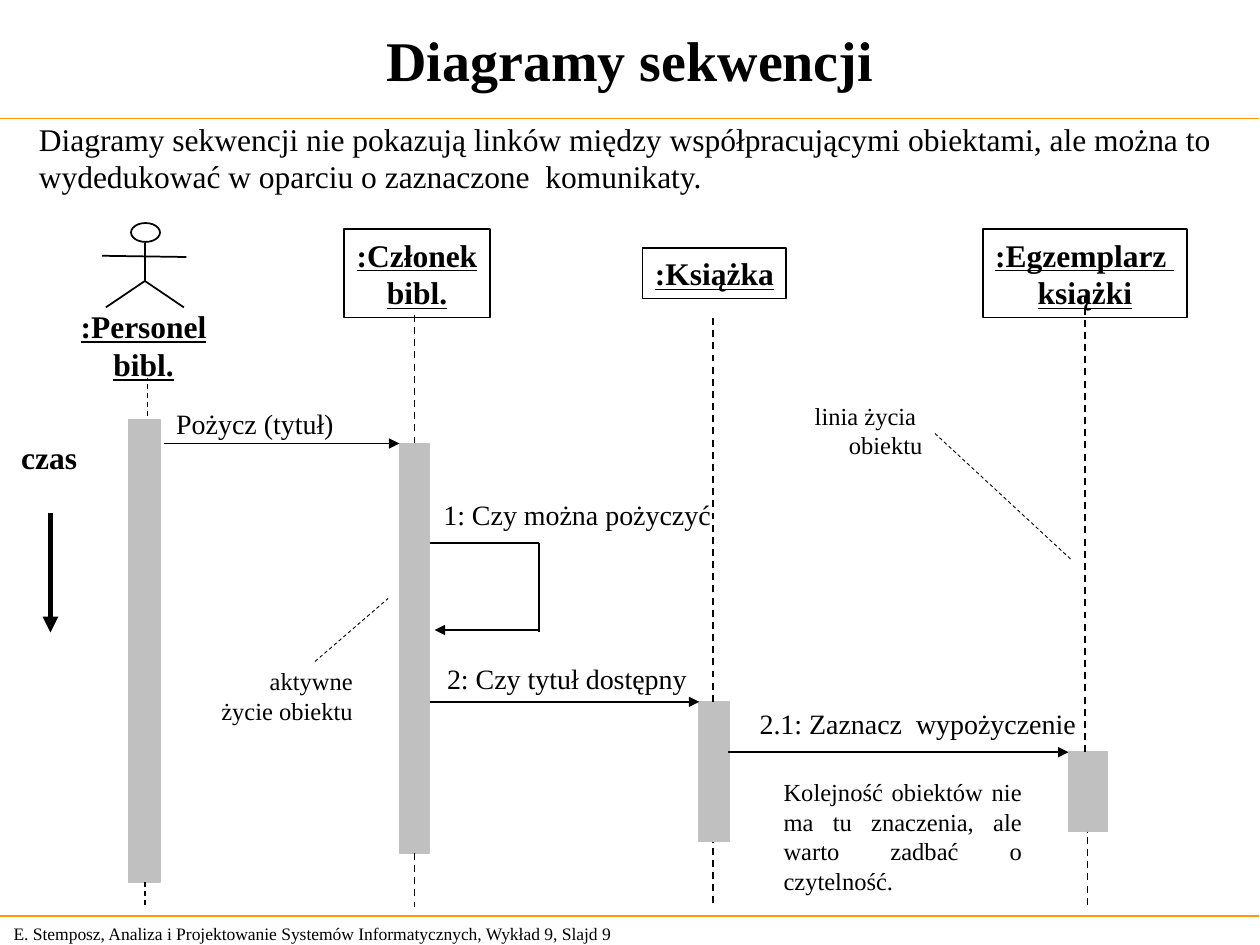
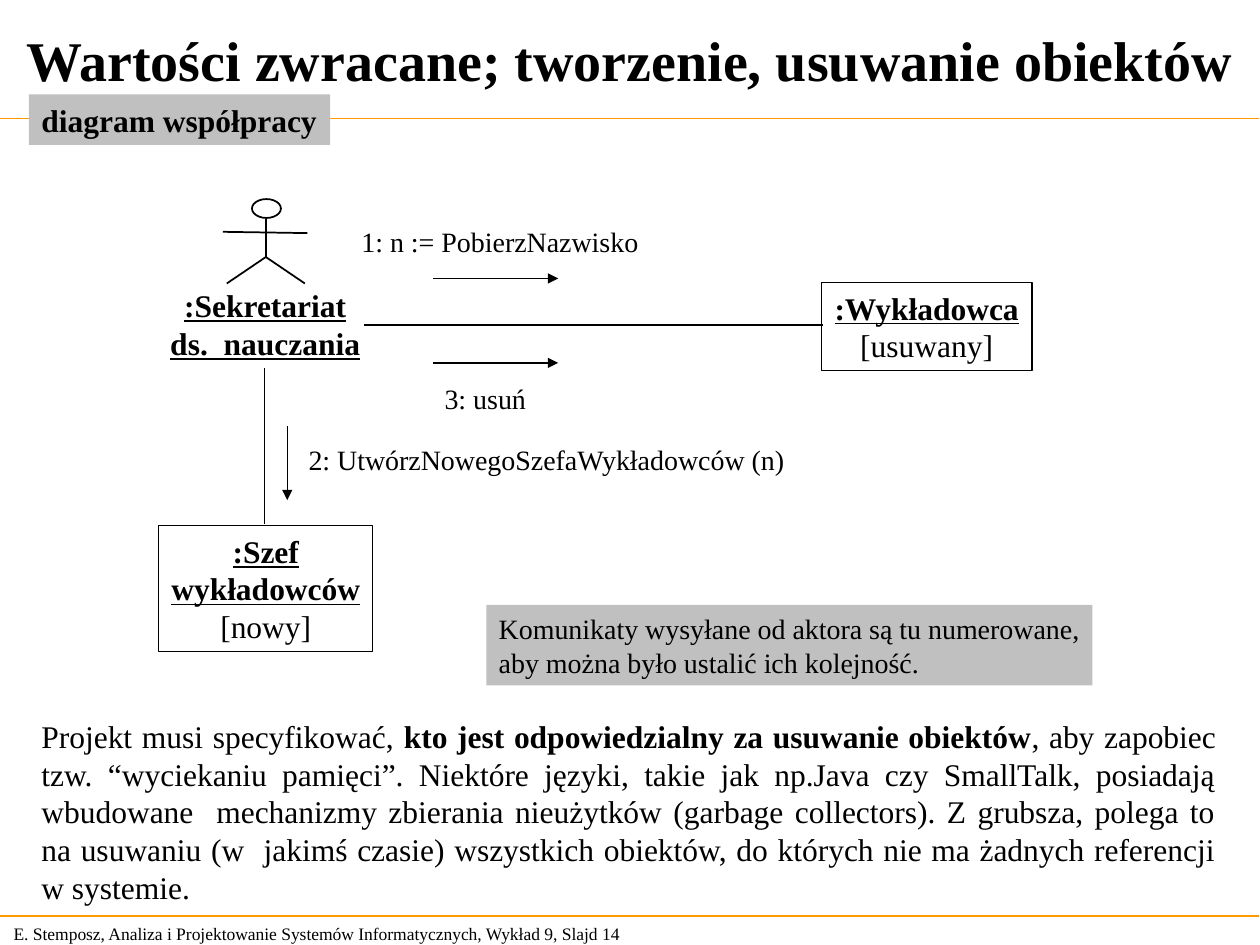
import pptx
import pptx.util
import pptx.dml.color
import pptx.enum.dml
import pptx.enum.shapes
import pptx.enum.text
import pptx.oxml.ns
from lxml import etree

Inches, Pt = pptx.util.Inches, pptx.util.Pt
ALIGN = pptx.enum.text.PP_ALIGN
DASH = pptx.enum.dml.MSO_LINE.DASH
SHAPE = pptx.enum.shapes.MSO_SHAPE
STRAIGHT = pptx.enum.shapes.MSO_CONNECTOR.STRAIGHT
AUTO_SIZE = pptx.enum.text.MSO_AUTO_SIZE
MIDDLE = pptx.enum.text.MSO_ANCHOR.MIDDLE

BLACK = pptx.dml.color.RGBColor(0x00, 0x00, 0x00)
GREY = pptx.dml.color.RGBColor(0xC0, 0xC0, 0xC0)
ORANGE = pptx.dml.color.RGBColor(0xFF, 0x99, 0x00)
FONT = "Times New Roman"
OBJECT_NAME = {"bold": True, "underline": True}
PLAIN = {"bold": False, "underline": False}
# Left and right insets: tight labels get slack on the side the text does not lean on
INSETS = {
    ALIGN.LEFT: (0.1, 0),
    ALIGN.CENTER: (0.04, 0.04),
    ALIGN.RIGHT: (0, 0.1),
    ALIGN.JUSTIFY: (0.1, 0.1),
}


def add_text(s, at, lines, size, align=ALIGN.LEFT, border=None, fill=None, fmt={}):
    """Text, one paragraph a line; a border width or a fill makes it a rectangle."""
    box = [Inches(v) for v in at]
    if border or fill:
        sp = s.shapes.add_shape(SHAPE.RECTANGLE, *box)
        sp.shadow.inherit = False
        if fill:
            sp.fill.solid()
            sp.fill.fore_color.rgb = fill
        else:
            sp.fill.background()
        if border:
            sp.line.color.rgb = BLACK
            sp.line.width = Pt(border)
        else:
            sp.line.fill.background()
        sp.text_frame.vertical_anchor = MIDDLE
    else:
        sp = s.shapes.add_textbox(*box)
    tf = sp.text_frame
    tf.word_wrap = True
    tf.auto_size = AUTO_SIZE.NONE
    tf.margin_left, tf.margin_right = [Inches(v) for v in INSETS[align]]
    for i, line in enumerate(lines):
        p = tf.paragraphs[0] if i == 0 else tf.add_paragraph()
        p.alignment = align
        r = p.add_run()
        r.text = line
        r.font.color.rgb = BLACK
        for name, value in {"name": FONT, "size": Pt(size), **fmt}.items():
            setattr(r.font, name, value)
    return tf


def add_line(shapes, ends, width=1, color=BLACK, dash=None, arrow=False):
    c = shapes.add_connector(STRAIGHT, *[Inches(v) for v in ends])
    c.line.color.rgb = color
    c.line.width = Pt(width)
    if dash:
        c.line.dash_style = dash
    if arrow:
        etree.SubElement(c.line._get_or_add_ln(), pptx.oxml.ns.qn("a:tailEnd"), type="triangle")
    etree.SubElement(c._element.spPr, pptx.oxml.ns.qn("a:effectLst"))
    return c


prs = pptx.Presentation()
prs.slide_width, prs.slide_height = Inches(10), Inches(7.5)

# Shared frame: title, rules, footer, and the actor at (centre, top)
frames = [
    ("Diagramy sekwencji", 9, 1.15, 1.77),
    ("Wartości zwracane; tworzenie, usuwanie obiektów", 14, 2.11, 1.58),
]
slides = []
for title, number, x, y in frames:
    s = prs.slides.add_slide(prs.slide_layouts[5])
    slides.append(s)
    for rule_y in (0.94, 7.27):
        add_line(s.shapes, (-0.01, rule_y, 9.99, rule_y), 0.75, ORANGE)
    footer = f"E. Stemposz, Analiza i Projektowanie Systemów Informatycznych, Wykład 9, Slajd {number}"
    add_text(s, (0.01, 7.28, 5.24, 0.27), [footer], 10)

    sp = s.shapes.title
    place = {"left": 0.04, "top": 0.04, "width": 9.92, "height": 0.85}
    for name, value in place.items():
        setattr(sp, name, Inches(value))
    tf = sp.text_frame
    tf.text = title
    tf.vertical_anchor = MIDDLE
    tf.auto_size = AUTO_SIZE.NONE
    p = tf.paragraphs[0]
    p.alignment = ALIGN.CENTER
    p.font.color.rgb = BLACK
    for name, value in {"name": FONT, "size": Pt(32), "bold": True}.items():
        setattr(p.font, name, value)

    actor = s.shapes.add_group_shape().shapes
    head = actor.add_shape(SHAPE.OVAL, *[Inches(v) for v in (x - 0.11, y, 0.23, 0.15)])
    head.shadow.inherit = False
    head.fill.background()
    head.line.color.rgb = BLACK
    head.line.width = Pt(1)
    for ends in [
        (x, y + 0.16, x, y + 0.47),
        (x - 0.34, y + 0.26, x + 0.33, y + 0.27),
        (x, y + 0.46, x + 0.31, y + 0.67),
        (x, y + 0.46, x - 0.31, y + 0.67),
    ]:
        add_line(actor, ends)

# Slide 1: sequence diagram
s = slides[0]
add_text(s, (0.21, 0.9, 9.51, 0.7), [
    "Diagramy sekwencji nie pokazują linków między współpracującymi obiektami, ale można to",
    "wydedukować w oparciu o zaznaczone  komunikaty.",
], 18)

# Object names
add_text(s, (0.54, 2.39, 1.2, 0.7), [":Personel", "bibl."], 18, ALIGN.CENTER, fmt=OBJECT_NAME)
for at, lines in [
    ((2.73, 1.82, 1.16, 0.7), [":Członek", "bibl."]),
    ((5.1, 1.97, 1.14, 0.4), [":Książka"]),
    ((7.8, 1.82, 1.62, 0.7), [":Egzemplarz ", "książki"]),
]:
    add_text(s, at, lines, 18, ALIGN.CENTER, border=1, fmt=OBJECT_NAME)

# Activation bars
for at in [
    (1.02, 3.33, 0.25, 3.67),
    (3.17, 3.52, 0.24, 3.25),
    (5.55, 5.57, 0.24, 1.11),
    (8.48, 5.97, 0.31, 0.63),
]:
    bar = s.shapes.add_shape(SHAPE.RECTANGLE, *[Inches(v) for v in at])
    bar.shadow.inherit = False
    bar.fill.solid()
    bar.fill.fore_color.rgb = GREY
    bar.line.color.rgb = GREY
    bar.line.width = Pt(1)

# Lifelines above and below the bars: x, start, end, width
for x, start, end, width in [
    (1.17, 3.3, 3, 0.75), (1.15, 7, 7.18, 0.75),
    (3.29, 3.52, 2.49, 1), (3.29, 6.77, 7.2, 1),
    (5.66, 5.57, 2.49, 1), (5.66, 7.17, 6.68, 1),
    (8.61, 5.97, 2.33, 1), (8.63, 7.18, 6.6, 1),
]:
    add_line(s.shapes, (x, start, x, end), width, dash=DASH)

# Messages
for x1, x2, y in [(1.3, 3.17, 3.52), (4.27, 3.45, 5), (3.41, 5.55, 5.57), (5.78, 8.48, 5.97)]:
    add_line(s.shapes, (x1, y, x2, y), arrow=True)
for ends in [(3.41, 4.31, 4.28, 4.31), (4.28, 4.31, 4.28, 5.02)]:
    add_line(s.shapes, ends)
for x, y, width, label in [
    (1.3, 3.18, 1.45, "Pożycz (tytuł)"),
    (3.42, 3.9, 2.32, "1: Czy można pożyczyć"),
    (3.45, 5.2, 2.1, "2: Czy tytuł dostępny"),
    (5.93, 5.56, 2.71, "2.1: Zaznacz  wypożyczenie"),
]:
    add_text(s, (x, y, width, 0.37), [label], 16)

# Time axis
add_text(s, (0.07, 3.43, 0.64, 0.4), ["czas"], 18, fmt={"bold": True})
add_line(s.shapes, (0.4, 4.07, 0.4, 5.02), 3, arrow=True)

# Notes with their pointers
for at, lines, pointer in [
    ((6.37, 3.13, 1.05, 0.57), ["linia życia ", "obiektu"], (7.42, 3.44, 8.5, 4.44)),
    ((1.66, 5.24, 1.24, 0.57), ["aktywne", "życie obiektu"], (2.5, 5.25, 3.08, 4.75)),
]:
    add_text(s, at, lines, 14, ALIGN.RIGHT)
    add_line(s.shapes, pointer, 0.5, dash=DASH)
add_text(s, (6.12, 6.12, 2.09, 1.04), [
    "Kolejność obiektów nie ma tu znaczenia, ale warto zadbać o czytelność.",
], 14, ALIGN.JUSTIFY)

# Slide 2: collaboration diagram
s = slides[1]
add_text(s, (0.23, 0.75, 2.39, 0.4), ["diagram współpracy"], 18, fill=GREY, fmt={"bold": True})

# Objects, with the state in the last line
add_text(s, (1.25, 2.22, 1.71, 0.7), [":Sekretariat", "ds.  nauczania"], 18, ALIGN.CENTER,
         fmt=OBJECT_NAME)
for at, lines in [
    ((1.26, 4.17, 1.7, 1), [":Szef", "wykładowców", "[nowy]"]),
    ((6.52, 2.24, 1.67, 0.7), [":Wykładowca", "[usuwany]"]),
]:
    tf = add_text(s, at, lines, 18, ALIGN.CENTER, border=0.75, fmt=OBJECT_NAME)
    for name, value in PLAIN.items():
        setattr(tf.paragraphs[-1].runs[0].font, name, value)

# Links and message arrows
for ends in [(2.1, 2.92, 2.1, 4.16), (2.89, 2.58, 6.53, 2.58)]:
    add_line(s.shapes, ends, 0.75)
for ends in [(3.44, 2.21, 4.43, 2.21), (2.28, 3.38, 2.28, 3.97), (3.44, 2.88, 4.43, 2.88)]:
    add_line(s.shapes, ends, 0.75, arrow=True)
for x, y, width, label in [
    (2.77, 1.73, 2.4, "1: n := PobierzNazwisko"),
    (2.35, 3.46, 3.99, "2: UtwórzNowegoSzefaWykładowców (n)"),
    (3.43, 2.98, 0.84, "3: usuń"),
]:
    add_text(s, (x, y, width, 0.37), [label], 16)

# Remarks
add_text(s, (3.86, 4.8, 4.81, 0.64), [
    "Komunikaty wysyłane od aktora są tu numerowane,",
    "aby można było ustalić ich kolejność.",
], 16, fill=GREY)
tf = add_text(s, (0.23, 5.64, 9.52, 1.6), ["Projekt musi specyfikować, "], 18, ALIGN.JUSTIFY)
for text, bold in [
    ("kto jest odpowiedzialny za usuwanie obiektów", True),
    (", aby zapobiec tzw. “wyciekaniu pamięci”. Niektóre języki, takie jak np.Java czy SmallTalk, "
     "posiadają wbudowane  mechanizmy zbierania nieużytków (garbage collectors). Z grubsza, polega "
     "to na usuwaniu (w  jakimś czasie) wszystkich obiektów, do których nie ma żadnych referencji "
     "w systemie.", False),
]:
    r = tf.paragraphs[0].add_run()
    r.text = text
    r.font.color.rgb = BLACK
    for name, value in {"name": FONT, "size": Pt(18), "bold": bold}.items():
        setattr(r.font, name, value)

prs.save("out.pptx")
